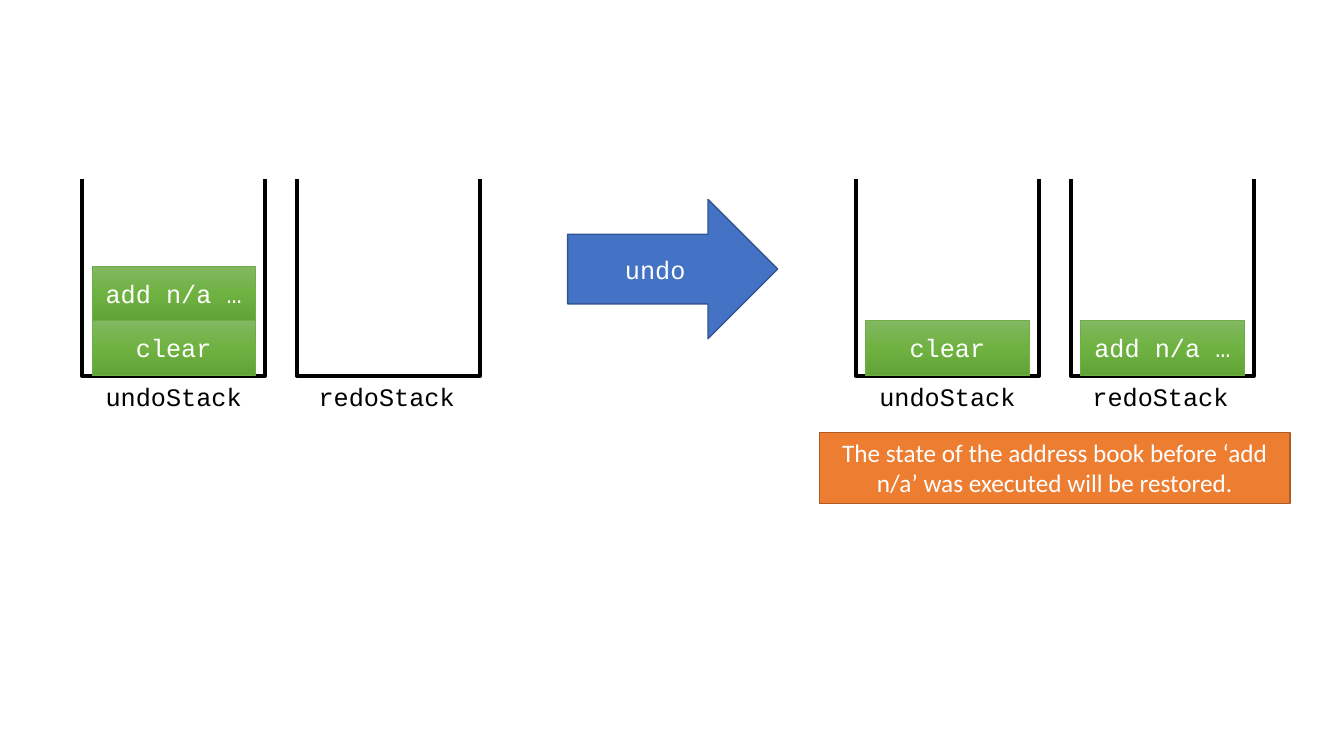
from dataclasses import dataclass

from lxml.etree import SubElement
from pptx import Presentation
from pptx.dml.color import RGBColor
from pptx.enum.shapes import MSO_SHAPE
from pptx.enum.text import MSO_ANCHOR, MSO_AUTO_SIZE, PP_ALIGN
from pptx.oxml.ns import qn
from pptx.util import Pt


@dataclass(frozen=True)
class Theme:
    white: str = "FFFFFF"
    black: str = "000000"
    blue: str = "4472C4"
    blue_edge: str = "325491"
    orange: str = "ED7D31"
    orange_edge: str = "AF5C24"
    green_edge: str = "70AD47"
    green_stops: tuple = ("81B861", "6FB242", "62A336")
    code_font: str = "Courier New"
    prose_font: str = "Calibri"
    text_size: int = 18


class StackDiagram:
    """Holds the theme and the current page; lengths are in points."""

    stack_top, stack_width, stack_height = 115.9, 131, 152.6
    block_width, block_height = 116.6, 38.9

    def __init__(self, page, theme):
        self.page = page
        self.theme = theme

    def shape(self, shapes, kind, bounds, fill, edge, edge_width=1):
        box = shapes.add_shape(kind, *map(Pt, bounds))
        box.shadow.inherit = False
        box.fill.solid()
        box.fill.fore_color.rgb = RGBColor.from_string(fill)
        box.line.color.rgb = RGBColor.from_string(edge)
        box.line.width = Pt(edge_width)
        return box

    def add_text(self, box, text, color, font):
        frame = box.text_frame
        frame.word_wrap = True
        para = frame.paragraphs[0]
        para.alignment = PP_ALIGN.CENTER
        span = para.add_run()
        span.text = text
        span.font.name = font
        span.font.size = Pt(self.theme.text_size)
        span.font.color.rgb = RGBColor.from_string(color)
        return frame

    def stack(self, left):
        """Draw a container whose top edge is covered, so it looks open."""
        theme = self.theme
        shapes = self.page.shapes.add_group_shape().shapes
        self.shape(shapes, MSO_SHAPE.RECTANGLE,
                   (left, self.stack_top, self.stack_width, self.stack_height),
                   theme.white, theme.black, 3)
        self.shape(shapes, MSO_SHAPE.RECTANGLE,
                   (left - 11.1, self.stack_top - 7.2, 150.5, 18.7),
                   theme.white, theme.white)

    def label(self, left, text):
        top = self.stack_top + self.stack_height
        box = self.page.shapes.add_textbox(
            Pt(left), Pt(top), Pt(self.stack_width), Pt(29))
        frame = self.add_text(box, text, self.theme.black, self.theme.code_font)
        frame.auto_size = MSO_AUTO_SIZE.SHAPE_TO_FIT_TEXT

    def block(self, stack_left, level, text):
        """Place a command in a stack; level 0 is the bottom."""
        theme = self.theme
        left = stack_left + (self.stack_width - self.block_width) / 2
        bottom = self.stack_top + self.stack_height - 0.6
        top = bottom - (level + 1) * self.block_height
        box = self.shape(self.page.shapes, MSO_SHAPE.RECTANGLE,
                         (left, top, self.block_width, self.block_height),
                         theme.green_edge, theme.green_edge, 0.5)
        self.shade(box, theme.green_stops)
        self.add_text(box, text, theme.white, theme.code_font)

    def shade(self, box, colors):
        """Fill a box from top to bottom with evenly spaced colours."""
        box.fill.gradient()
        box.fill.gradient_angle = 270
        stops = box.element.spPr.find(qn("a:gradFill")).find(qn("a:gsLst"))
        for stop in list(stops):
            stops.remove(stop)
        for index, color in enumerate(colors):
            position = index * 100000 // (len(colors) - 1)
            stop = SubElement(stops, qn("a:gs"), pos=str(position))
            SubElement(stop, qn("a:srgbClr"), val=color)

    def arrow(self, bounds, text):
        theme = self.theme
        box = self.shape(self.page.shapes, MSO_SHAPE.RIGHT_ARROW, bounds,
                         theme.blue, theme.blue_edge)
        self.add_text(box, text, theme.white, theme.code_font)

    def note(self, bounds, text):
        theme = self.theme
        box = self.shape(self.page.shapes, MSO_SHAPE.RECTANGLE, bounds,
                         theme.orange, theme.orange_edge)
        frame = self.add_text(box, text, theme.white, theme.prose_font)
        frame.vertical_anchor = MSO_ANCHOR.TOP
        frame.auto_size = MSO_AUTO_SIZE.SHAPE_TO_FIT_TEXT


deck = Presentation()
deck.slide_width, deck.slide_height = Pt(960), Pt(540)
page = deck.slides.add_slide(deck.slide_layouts[6])
diagram = StackDiagram(page, Theme())

# Stacks before and after the undo: left edge, undo and redo commands from the bottom
STACK_PITCH = 153.6
states = [
    (58.5, ["clear", "add n/a …"], []),
    (611.2, ["clear"], ["add n/a …"]),
]
for state_left, undo_commands, redo_commands in states:
    redo_left = state_left + STACK_PITCH
    diagram.stack(state_left)
    diagram.stack(redo_left)
    diagram.label(state_left, "undoStack")
    diagram.label(redo_left - 1.4, "redoStack")
    for stack_left, commands in ((state_left, undo_commands), (redo_left, redo_commands)):
        for level, command in enumerate(commands):
            diagram.block(stack_left, level, command)

# Step between the two states, and its result
diagram.arrow((405.5, 142.5, 150, 99.5), "undo")
diagram.note((585.3, 309, 336.3, 50.9),
             "The state of the address book before ‘add n/a’ was executed will be restored.")

deck.save("out.pptx")
